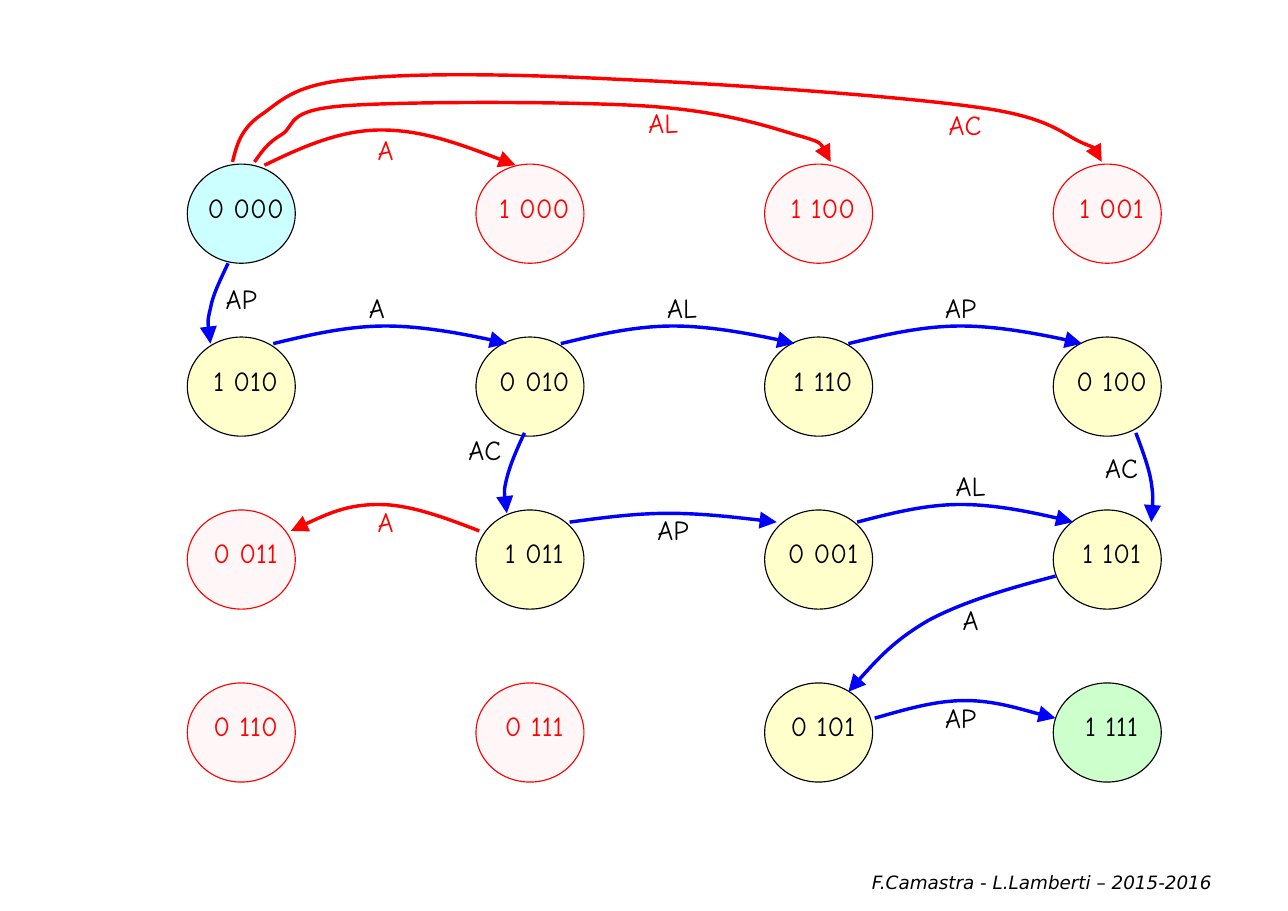
"""Build the state graph slide: a grid of states joined by curved, labelled moves."""
from lxml import etree
from pptx import Presentation
from pptx.dml.color import RGBColor
from pptx.enum.shapes import MSO_SHAPE
from pptx.enum.text import MSO_ANCHOR, PP_ALIGN
from pptx.oxml.ns import qn
from pptx.util import Inches, Pt

OVAL = MSO_SHAPE.OVAL
TOP, BOTTOM = MSO_ANCHOR.TOP, MSO_ANCHOR.BOTTOM
CENTER, RIGHT = PP_ALIGN.CENTER, PP_ALIGN.RIGHT

WIDTH, HEIGHT = 11.69, 8.27
LEFT, COLUMN = 1.7, 2.62
UPPER, ROW = 1.49, 1.57
NODE_WIDTH, NODE_HEIGHT = 0.98, 0.9
LABEL_WIDTH, LABEL_HEIGHT = 1.23, 0.4

COLORS = {
    "black": "000000", "red": "FF0000", "blue": "0000FF",
    "start": "CCFFFF", "safe": "FFFFCC", "unsafe": "FFF7F7", "goal": "CCFFCC",
}

STATES = [
    [("0 000", "start"), ("1 000", "unsafe"), ("1 100", "unsafe"), ("1 001", "unsafe")],
    [("1 010", "safe"), ("0 010", "safe"), ("1 110", "safe"), ("0 100", "safe")],
    [("0 011", "unsafe"), ("1 011", "safe"), ("0 001", "safe"), ("1 101", "safe")],
    [("0 110", "unsafe"), ("0 111", "unsafe"), ("0 101", "safe"), ("1 111", "goal")],
]

MOVES = [
    ("A", 3.5, 1.21, "red", [
        (2.4, 1.5), (2.73, 1.34), (3.08, 1.18), (3.46, 1.18),
        (3.84, 1.18), (4.26, 1.34), (4.68, 1.5)]),
    ("AL", 6.02, 0.96, "red", [
        (2.31, 1.47), (2.37, 1.39), (2.42, 1.3), (2.56, 1.22),
        (2.69, 1.13), (2.59, 1), (3.13, 0.96), (3.67, 0.92), (5.14, 0.92), (5.82, 0.96),
        (6.5, 1), (6.92, 1.13), (7.21, 1.22), (7.5, 1.3), (7.52, 1.39), (7.54, 1.47)]),
    ("AC", 8.76, 0.98, "red", [
        (2.11, 1.47), (2.15, 1.32), (2.18, 1.18), (2.36, 1.05),
        (2.54, 0.93), (2.65, 0.77), (3.19, 0.72), (3.73, 0.66), (4.66, 0.67), (5.6, 0.72),
        (6.54, 0.76), (8.13, 0.87), (8.84, 0.97), (9.54, 1.06), (9.64, 1.22), (9.83, 1.3),
        (10.03, 1.38), (10.01, 1.43), (10, 1.47)]),
    ("AP", 2.19, 2.56, "blue", [
        (2.07, 2.39), (2, 2.54), (1.93, 2.68), (1.91, 2.8),
        (1.88, 2.92), (1.89, 3.02), (1.91, 3.12)]),
    ("AC", 4.4, 3.93, "blue", [
        (4.76, 3.93), (4.69, 4.08), (4.63, 4.22), (4.6, 4.34),
        (4.57, 4.46), (4.58, 4.56), (4.6, 4.66)]),
    ("AC", 10.18, 4.09, "blue", [
        (10.31, 3.93), (10.37, 4.09), (10.43, 4.25), (10.45, 4.38),
        (10.47, 4.52), (10.46, 4.63), (10.45, 4.74)]),
    ("A", 3.5, 4.58, "red", [
        (4.35, 4.82), (4.04, 4.7), (3.72, 4.58), (3.44, 4.58),
        (3.15, 4.58), (2.89, 4.7), (2.64, 4.82)]),
    ("AP", 6.11, 4.66, "blue", [
        (5.17, 4.74), (5.47, 4.7), (5.76, 4.66), (6.07, 4.66),
        (6.39, 4.66), (6.97, 4.73), (7.05, 4.74)]),
    ("AL", 8.81, 4.26, "blue", [
        (7.78, 4.74), (8.09, 4.66), (8.4, 4.58), (8.72, 4.58),
        (9.05, 4.58), (9.65, 4.71), (9.74, 4.74)]),
    ("A", 8.81, 5.47, "blue", [
        (9.58, 5.23), (9.16, 5.34), (8.75, 5.46), (8.43, 5.63),
        (8.12, 5.81), (7.91, 6.04), (7.7, 6.28)]),
    ("AP", 8.72, 6.36, "blue", [
        (7.94, 6.52), (8.22, 6.44), (8.49, 6.36), (8.76, 6.36),
        (9.03, 6.36), (9.44, 6.49), (9.58, 6.52)]),
]

SECOND_ROW_LABELS = [("A", 3.42), ("AL", 6.19), ("AP", 8.72)]
SECOND_ROW_ARC = [(2.48, 3.12), (2.81, 3.04), (3.15, 2.96), (3.5, 2.96),
                  (3.85, 2.96), (4.51, 3.09), (4.6, 3.12)]
SECOND_ROW_STEP = 2.61


def rgb(name):
    """Return the named colour."""
    return RGBColor.from_string(COLORS[name])


def add_text(slide, box, text, color="black", size=18, font="Comic Neue",
             align=CENTER, anchor=TOP, margins=(0, 0), italic=False):
    """Add a one-run text box; box is left, top, width, height."""
    shape = slide.shapes.add_textbox(*map(Inches, box))
    frame = shape.text_frame
    frame.word_wrap = True
    frame.vertical_anchor = anchor
    frame.margin_left = frame.margin_right = Inches(margins[0])
    frame.margin_top = frame.margin_bottom = Inches(margins[1])
    paragraph = frame.paragraphs[0]
    paragraph.alignment = align
    run = paragraph.add_run()
    run.text = text
    run.font.name = font
    run.font.size = Pt(size)
    run.font.italic = italic
    run.font.color.rgb = rgb(color)


def add_state(slide, column, row, text, kind):
    """Add a state's ellipse and its code in one cell of the grid."""
    left, top = LEFT + column * COLUMN, UPPER + row * ROW
    color = "red" if kind == "unsafe" else "black"
    shape = slide.shapes.add_shape(
        OVAL, *map(Inches, (left, top, NODE_WIDTH, NODE_HEIGHT)))
    shape.shadow.inherit = False
    shape.fill.solid()
    shape.fill.fore_color.rgb = rgb(kind)
    shape.line.color.rgb = rgb(color)
    shape.line.width = Pt(0.75)
    add_text(slide, (left, top + 0.24, 1.06, LABEL_HEIGHT), text, color)


def bend(shape):
    """Turn each three line segments of a freeform into one cubic curve."""
    segments = list(shape._element.iter(qn("a:lnTo")))
    for first in range(0, len(segments), 3):
        curve = etree.Element(qn("a:cubicBezTo"))
        segments[first].addprevious(curve)
        for segment in segments[first:first + 3]:
            curve.append(segment[0])
            segment.getparent().remove(segment)


def add_move(slide, text, center, top, color, controls):
    """Add a curved arrow and its label."""
    start, *others = [tuple(map(Inches, point)) for point in controls]
    builder = slide.shapes.build_freeform(*start)
    builder.add_line_segments(others, close=False)
    shape = builder.convert_to_shape()
    bend(shape)
    shape.shadow.inherit = False
    shape.fill.background()
    shape.line.color.rgb = rgb(color)
    shape.line.width = Pt(2.25)
    etree.SubElement(shape.line._get_or_add_ln(), qn("a:tailEnd"),
                     type="triangle", w="lg", len="lg")
    add_text(slide, (center - LABEL_WIDTH / 2, top, LABEL_WIDTH, LABEL_HEIGHT),
             text, "red" if color == "red" else "black")


def main():
    """Build and save the slide."""
    presentation = Presentation()
    presentation.slide_width, presentation.slide_height = Inches(WIDTH), Inches(HEIGHT)
    slide = presentation.slides.add_slide(presentation.slide_layouts[6])
    add_text(slide, (3.99, 7.68, 7.12, 0.48), "F.Camastra - L.Lamberti – 2015-2016",
             size=12, font="DejaVu Sans", align=RIGHT, anchor=BOTTOM,
             margins=(0.11, 0.05), italic=True)
    for row, states in enumerate(STATES):
        for column, (text, kind) in enumerate(states):
            add_state(slide, column, row, text, kind)
    for move in MOVES:
        add_move(slide, *move)
    for index, (text, center) in enumerate(SECOND_ROW_LABELS):
        arc = [(x + index * SECOND_ROW_STEP, y) for x, y in SECOND_ROW_ARC]
        add_move(slide, text, center, 2.64, "blue", arc)
    presentation.save("out.pptx")


if __name__ == "__main__":
    main()
